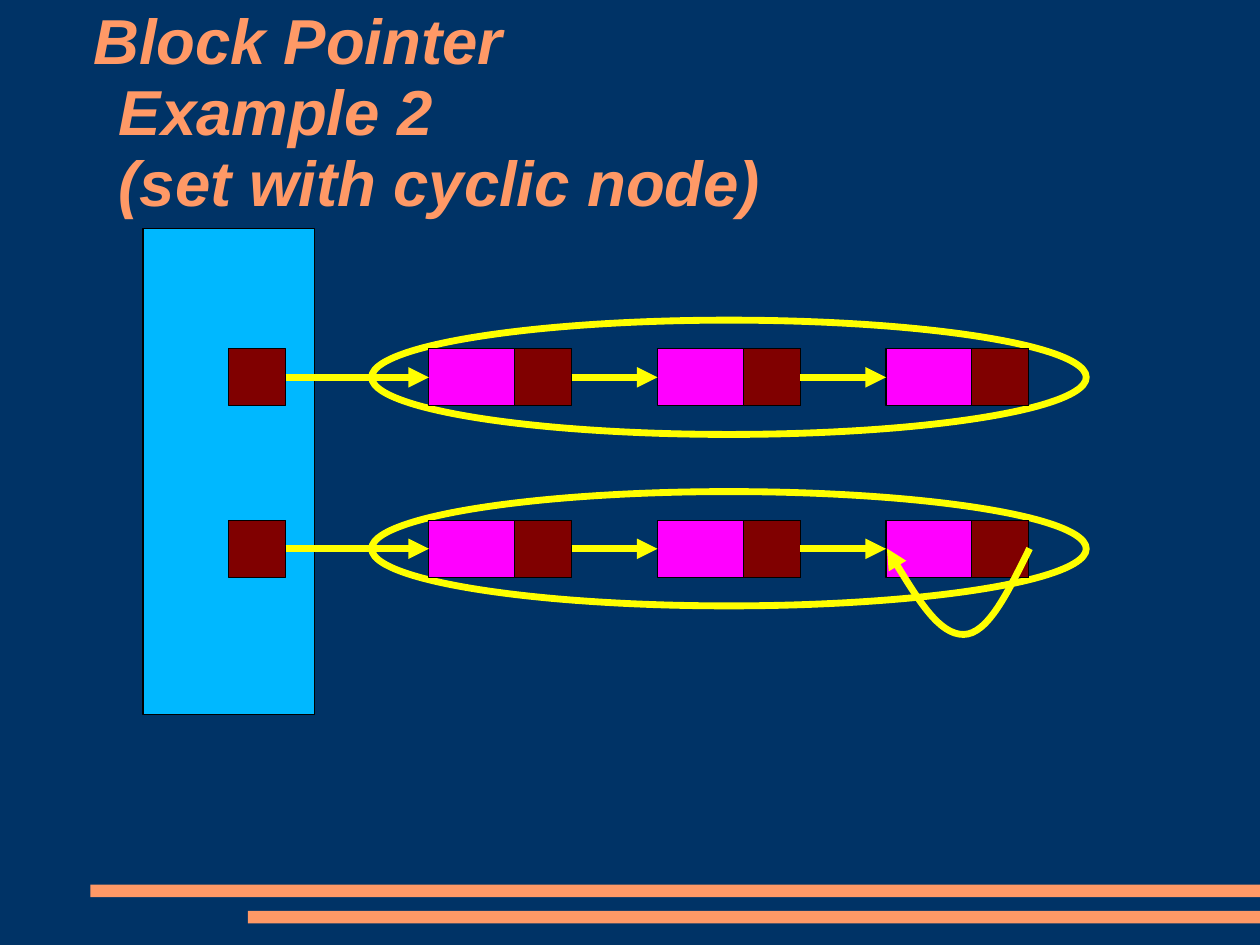
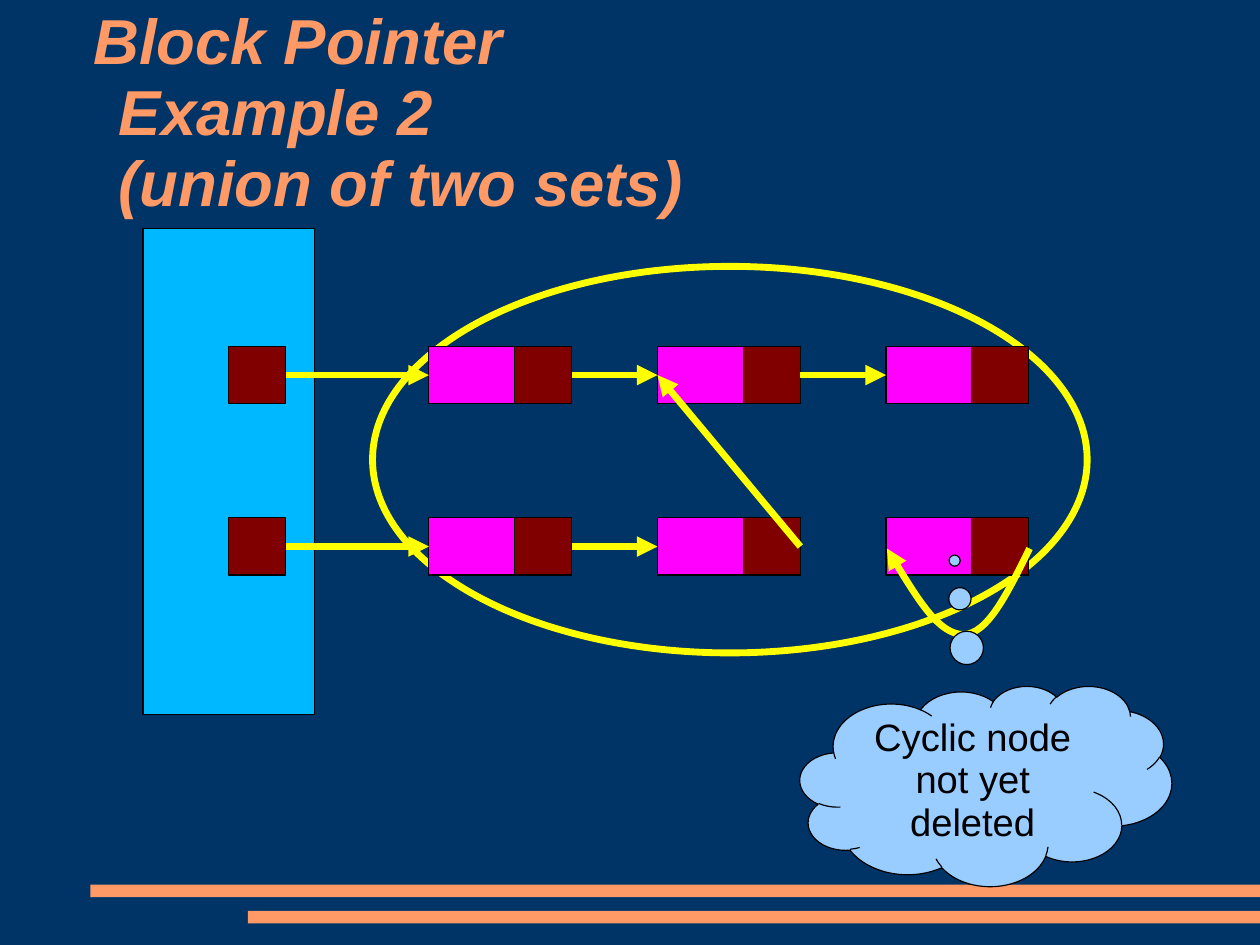
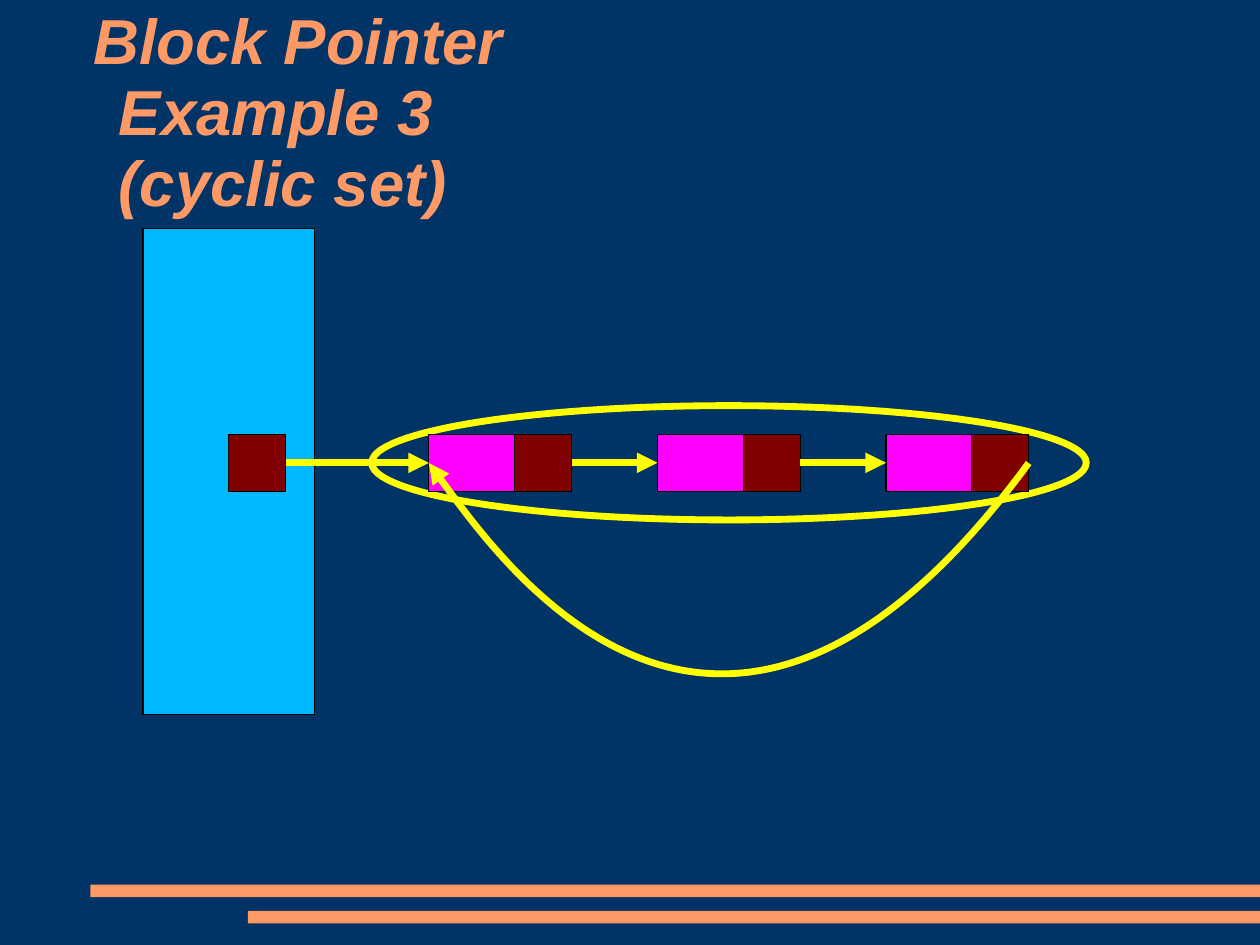
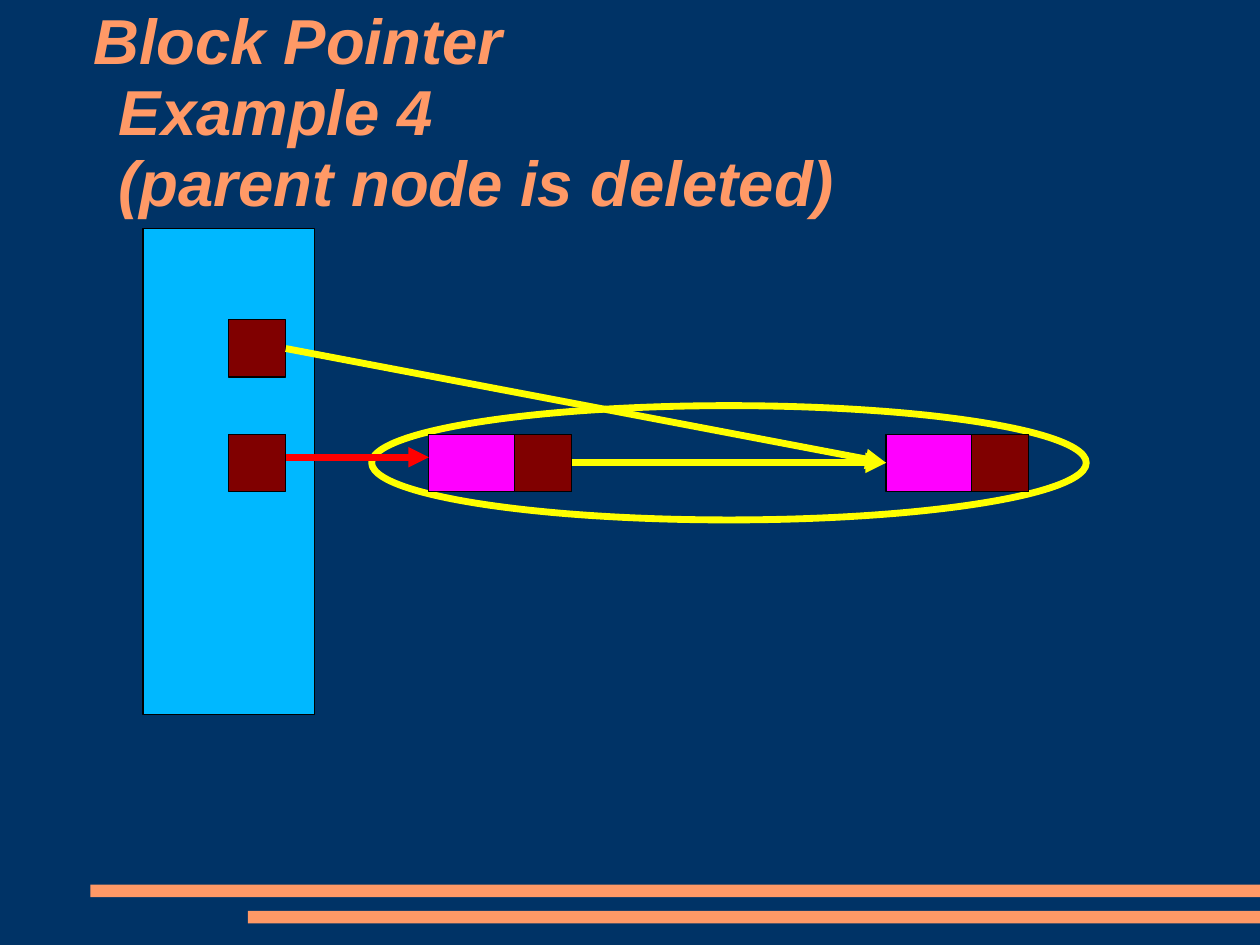
import pptx
import pptx.util
import pptx.dml.color
import pptx.enum.shapes
import pptx.enum.text
import pptx.oxml.ns
import pptx.oxml.xmlchemy

Cm, Pt = pptx.util.Cm, pptx.util.Pt
RGB = pptx.dml.color.RGBColor
SHAPE = pptx.enum.shapes.MSO_SHAPE
qn = pptx.oxml.ns.qn
OxmlElement = pptx.oxml.xmlchemy.OxmlElement

NAVY = RGB(0x00, 0x33, 0x66)
ORANGE = RGB(0xFF, 0x99, 0x66)
YELLOW = RGB(0xFF, 0xFF, 0x00)
RED = RGB(0xFF, 0x00, 0x00)
SKY = RGB(0x00, 0xB8, 0xFF)
MAGENTA = RGB(0xFF, 0x00, 0xFF)
MAROON = RGB(0x80, 0x00, 0x00)
PALE = RGB(0x99, 0xCC, 0xFF)
BLACK = RGB(0x00, 0x00, 0x00)

# All measures are centimetres.
WIDTH, HEIGHT = 28, 21
BOX = 1.27
NODE_W = 2.5 * BOX
PITCH = 4 * BOX
ROOT_X = 5.08
NODE_X = 9.53
SET_X, SET_W, SET_H = 8.26, 15.88, 2.54
THIN, THICK = 0.75, 4.31
LEFT, RIGHT = 1, 3

SELF_LOOP = [(22.88, 12.19), (22.4, 13.16), (21.95, 14.1), (21.41, 14.1),
             (20.88, 14.1), (20.29, 13.16), (19.71, 12.19)]
BACK_LOOP = [(22.86, 10.29), (15.88, 19.81), (9.53, 10.29), (9.53, 10.29)]


class Deck:
    def __init__(self):
        self.prs = pptx.Presentation()
        self.prs.slide_width, self.prs.slide_height = Cm(WIDTH), Cm(HEIGHT)
        fill = self.prs.slide_master.background.fill
        fill.solid()
        fill.fore_color.rgb = NAVY
        self.s = None

    def slide(self, *title):
        """Start a slide with its bands, title and memory block."""
        self.s = self.prs.slides.add_slide(self.prs.slide_layouts[6])
        for x, y in ((2.01, 19.66), (5.51, 20.24)):
            self.shape(SHAPE.RECTANGLE, x, y, WIDTH - x, 0.28, ORANGE, None)
        self.title(title)
        self.shape(SHAPE.RECTANGLE, 3.18, 5.08, 3.81, 10.8, SKY)

    def title(self, lines):
        tf = self.s.shapes.add_textbox(Cm(2.06), Cm(0.18), Cm(23.9), Cm(4.72)).text_frame
        tf.margin_left = tf.margin_right = tf.margin_top = tf.margin_bottom = 0
        p = self.text(tf, "\v".join(lines), size=Pt(40), bold=True, italic=True, color=ORANGE)
        pPr = p._p.get_or_add_pPr()
        pPr.set("marL", str(Cm(0.58)))
        pPr.set("indent", str(Cm(-0.56)))

    def text(self, tf, text, color, **font):
        tf.word_wrap = True
        tf.vertical_anchor = pptx.enum.text.MSO_ANCHOR.MIDDLE
        p = tf.paragraphs[0]
        p.text = text
        p.line_spacing = 0.93
        for r in p.runs:
            for name, value in {"name": "Arial", **font}.items():
                setattr(r.font, name, value)
            r.font.color.rgb = color
        return p

    def shape(self, kind, x, y, w, h, fill=None, line=BLACK, weight=THIN):
        sp = self.s.shapes.add_shape(kind, Cm(x), Cm(y), Cm(w), Cm(h))
        self.paint(sp, fill, line, weight)
        return sp

    def paint(self, sp, fill, line, weight):
        sp.shadow.inherit = False
        for part, color in ((sp.fill, fill), (sp.line.fill, line)):
            if color is None:
                part.background()
            else:
                part.solid()
                part.fore_color.rgb = color
        if line is not None:
            sp.line.width = Pt(weight)

    def ellipse(self, x, y, w, h):
        self.shape(SHAPE.OVAL, x, y, w, h, None, YELLOW, THICK)

    def set_ring(self, row):
        """Ring the nodes of the row whose boxes start at this height."""
        self.ellipse(SET_X, row - (SET_H - BOX) / 2, SET_W, SET_H)

    def pointer(self, x, row):
        return self.shape(SHAPE.RECTANGLE, x, row, BOX, BOX, MAROON)

    def root(self, row):
        return self.pointer(ROOT_X, row)

    def node(self, col, row):
        """Draw a node; return its data box and its pointer box."""
        x = NODE_X + col * PITCH
        data = self.shape(SHAPE.RECTANGLE, x, row, NODE_W, BOX, MAGENTA)
        return data, self.pointer(x + NODE_W - BOX, row)

    def chain(self, row, linked=3):
        """Draw a root and three nodes, the first few linked; return the nodes."""
        source = self.root(row)
        nodes = [self.node(col, row) for col in range(3)]
        for data, pointer in nodes[:linked]:
            self.link(source, data)
            source = pointer
        return nodes

    def arrow(self, x1, y1, x2, y2, color=YELLOW):
        c = self.s.shapes.add_connector(pptx.enum.shapes.MSO_CONNECTOR.STRAIGHT,
                                        Cm(x1), Cm(y1), Cm(x2), Cm(y2))
        c.line.color.rgb = color
        c.line.width = Pt(THICK)
        self.arrowhead(c)
        c._element.spPr.append(OxmlElement("a:effectLst"))
        return c

    def link(self, source, target):
        c = self.arrow(0, 0, 0, 0)
        c.begin_connect(source, RIGHT)
        c.end_connect(target, LEFT)

    def arrowhead(self, sp):
        tail = OxmlElement("a:tailEnd")
        tail.set("type", "triangle")
        sp._element.spPr.find(qn("a:ln")).append(tail)

    def curve(self, points):
        """Draw an arrow along cubic Bezier points: a start, then threes."""
        start, *rest = [(Cm(x), Cm(y)) for x, y in points]
        fb = self.s.shapes.build_freeform(*start)
        fb.add_line_segments(rest, close=False)
        sp = fb.convert_to_shape()
        lines = list(sp._element.iter(qn("a:lnTo")))
        for i in range(0, len(lines), 3):
            bezier = OxmlElement("a:cubicBezTo")
            lines[i].addprevious(bezier)
            for line in lines[i:i + 3]:
                bezier.append(line[0])
                line.getparent().remove(line)
        self.paint(sp, None, YELLOW, THICK)
        self.arrowhead(sp)

    def thought(self, text):
        sp = self.shape(SHAPE.CLOUD_CALLOUT, 17.78, 15.24, 8.26, 4.45, PALE)
        sp.adjustments[0], sp.adjustments[1] = -0.084, -1.125
        p = self.text(sp.text_frame, text, size=Pt(24), color=BLACK)
        p.alignment = pptx.enum.text.PP_ALIGN.CENTER


def cyclic_node(d):
    d.slide("Block Pointer", "Example 2", "(set with cyclic node)")
    for row in (7.75, 11.56):
        d.set_ring(row)
        d.chain(row)
    d.curve(SELF_LOOP)


def union(d):
    d.slide("Block Pointer", "Example 2", "(union of two sets)")
    d.ellipse(8.28, 5.92, SET_W, 8.59)
    upper = d.chain(7.7)
    lower = d.chain(11.51, linked=2)
    d.link(lower[1][1], upper[1][0])
    d.curve(SELF_LOOP)
    d.thought("Cyclic node not yet deleted")


def cyclic_set(d):
    d.slide("Block Pointer", "Example 3", "(cyclic set)")
    d.set_ring(9.65)
    d.chain(9.65)
    d.curve(BACK_LOOP)


def deleted_parent(d):
    d.slide("Block Pointer", "Example 4", "(parent node is deleted)")
    row = 9.65
    d.set_ring(row)
    kept = d.root(7.11)
    d.root(row)
    parent, child = d.node(0, row), d.node(2, row)
    d.link(kept, child[0])
    d.link(parent[1], child[0])
    d.arrow(ROOT_X + BOX, 10.16, NODE_X, 10.16, RED)


def main():
    d = Deck()
    for build in (cyclic_node, union, cyclic_set, deleted_parent):
        build(d)
    d.prs.save("out.pptx")


if __name__ == "__main__":
    main()
